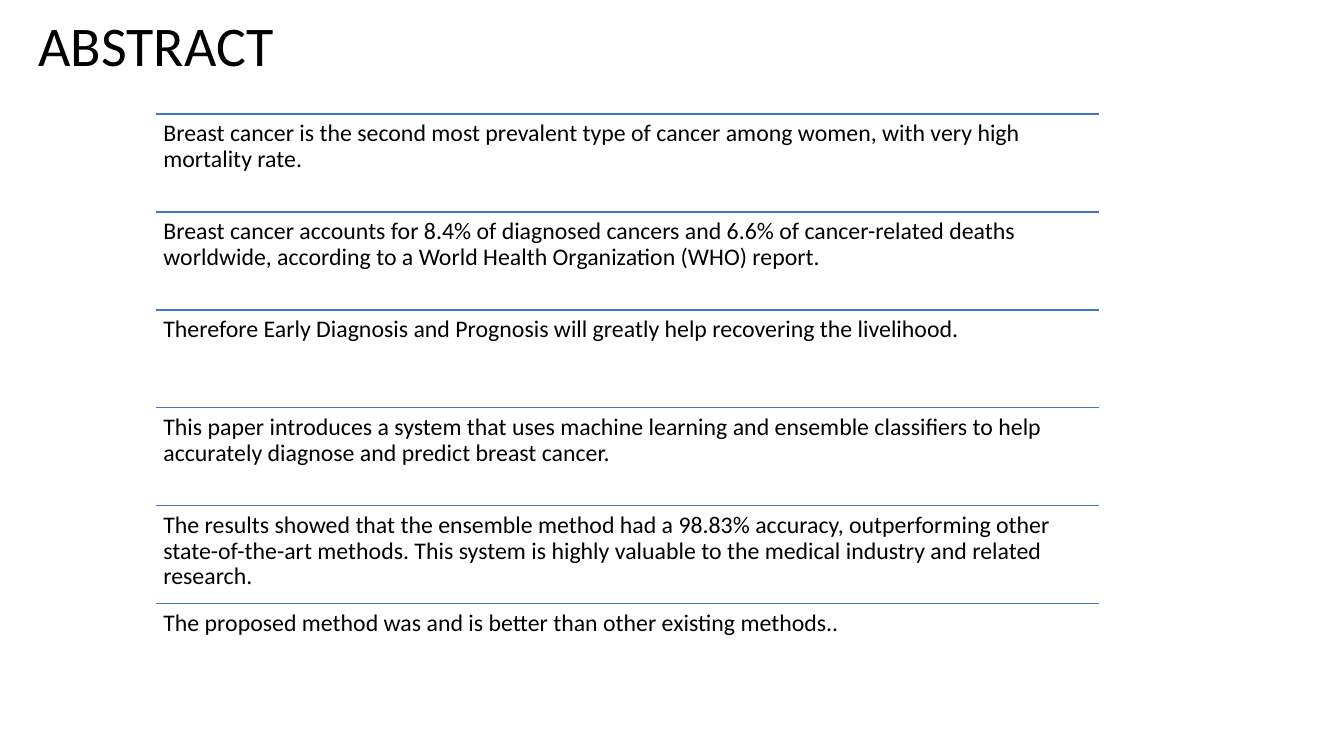
from dataclasses import dataclass

from pptx import Presentation
from pptx.dml.color import RGBColor as RGB
from pptx.enum.shapes import MSO_CONNECTOR as Conn
from pptx.enum.text import MSO_ANCHOR as Anchor, MSO_AUTO_SIZE as Fit, PP_ALIGN as Align
from pptx.util import Inches, Pt
from lxml.etree import SubElement
from pptx.oxml.ns import qn


@dataclass(frozen=True)
class Theme:
    font: str = "Calibri"
    ink: RGB = RGB(0x00, 0x00, 0x00)
    rule: RGB = RGB(0x44, 0x72, 0xC4)
    title: int = 40
    body: int = 17
    line: int = 1


THEME = Theme()

LEFT, WIDTH = 1.55, 9.35
FIRST, LAST = 1.13, 5.99
PAD = 0.07

POINTS = [
    "Breast cancer is the second most prevalent type of cancer among women, "
    "with very high mortality rate.",
    "Breast cancer accounts for 8.4% of diagnosed cancers and 6.6% of cancer-related "
    "deaths worldwide, according to a World Health Organization (WHO) report.",
    "Therefore Early Diagnosis and Prognosis will greatly help recovering the livelihood.",
    "This paper introduces a system that uses machine learning and ensemble classifiers "
    "to help accurately diagnose and predict breast cancer.",
    "The results showed that the ensemble method had a 98.83% accuracy, outperforming "
    "other state-of-the-art methods. This system is highly valuable to the medical "
    "industry and related research.",
    "The proposed method was and is better than other existing methods..",
]


def write(shape, text, size=THEME.body, anchor=Anchor.TOP, pad=None):
    frame = shape.text_frame
    frame.word_wrap = True
    frame.auto_size = Fit.NONE
    frame.vertical_anchor = anchor
    if pad is not None:
        frame.margin_left = frame.margin_right = Inches(pad)
        frame.margin_top = frame.margin_bottom = Inches(pad)
    para = frame.paragraphs[0]
    para.alignment = Align.LEFT
    para.line_spacing = 0.9
    run = para.add_run()
    run.text = text
    run.font.name = THEME.font
    run.font.size = Pt(size)
    run.font.color.rgb = THEME.ink


def add_title(slide, text):
    title = slide.shapes.title
    title.left, title.top = Inches(0.28), Inches(-0.06)
    title.width, title.height = Inches(4.94), Inches(0.89)
    write(title, text, size=THEME.title, anchor=Anchor.BOTTOM)


def add_rule(slide, top):
    rule = slide.shapes.add_connector(
        Conn.STRAIGHT, Inches(LEFT), Inches(top), Inches(LEFT + WIDTH), Inches(top))
    rule.line.color.rgb = THEME.rule
    rule.line.width = Pt(THEME.line)
    SubElement(rule._element.spPr, qn("a:effectLst"))


def add_point(slide, text, top, height):
    """Add one statement with a rule along its top edge."""
    add_rule(slide, top)
    box = slide.shapes.add_textbox(
        Inches(LEFT), Inches(top), Inches(WIDTH), Inches(height))
    write(box, text, pad=PAD)


def main():
    deck = Presentation()
    deck.slide_width, deck.slide_height = Inches(13.33), Inches(7.5)
    slide = deck.slides.add_slide(deck.slide_layouts[5])
    add_title(slide, "ABSTRACT")
    step = (LAST - FIRST) / (len(POINTS) - 1)
    for row, text in enumerate(POINTS):
        add_point(slide, text, FIRST + row * step, step)
    deck.save("out.pptx")


if __name__ == "__main__":
    main()
